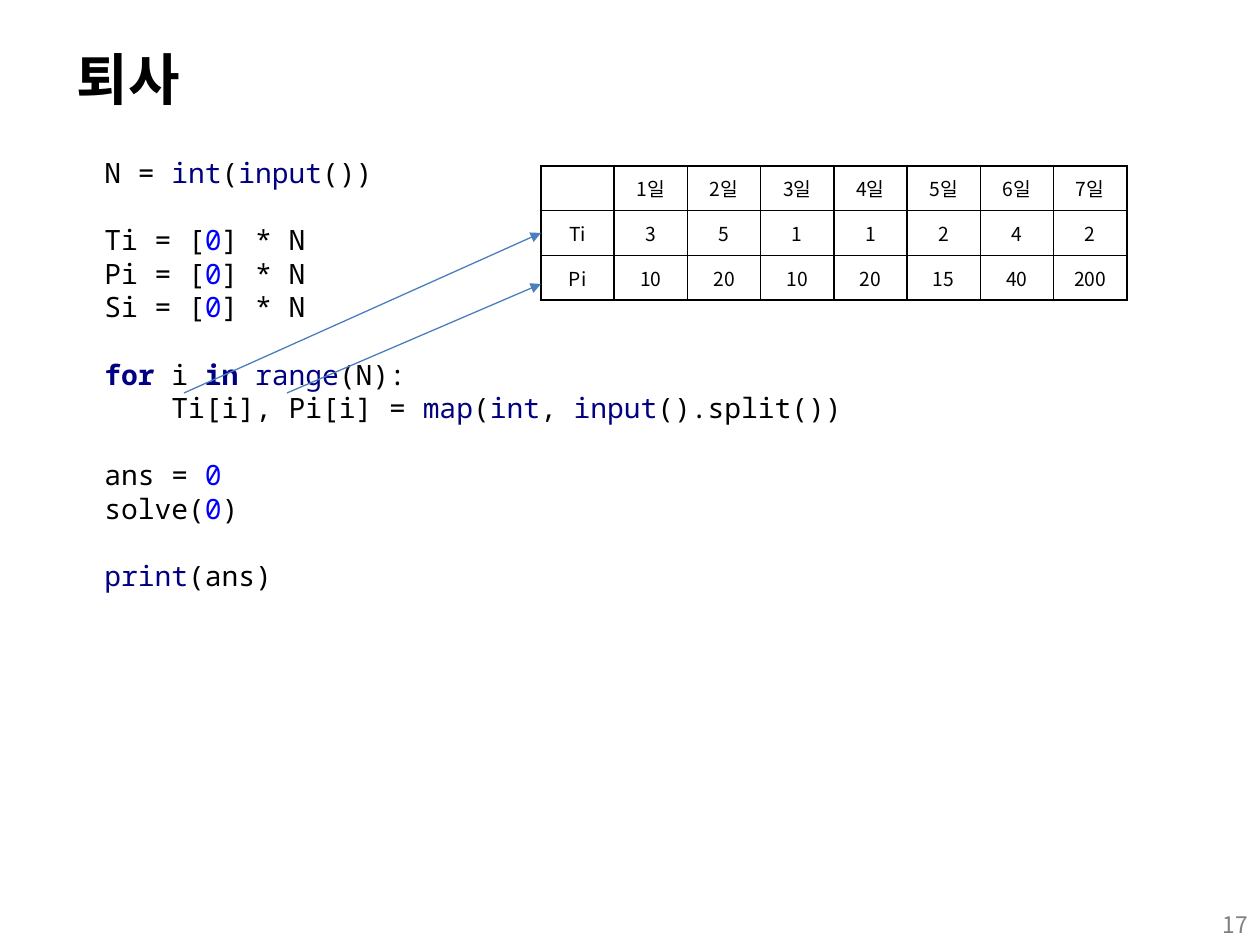
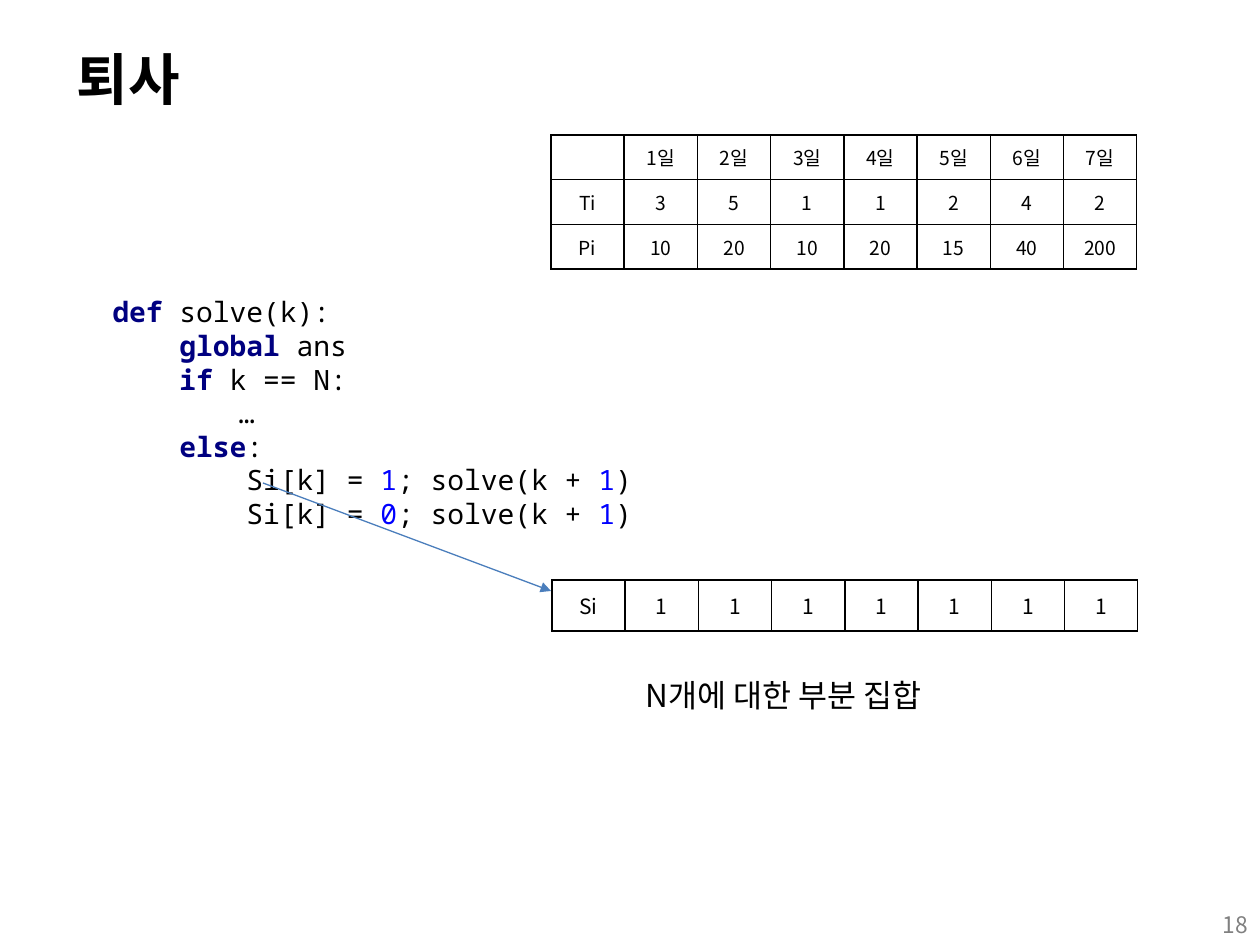
from pptx import Presentation
from pptx.dml.color import RGBColor
from pptx.enum.shapes import MSO_CONNECTOR, MSO_SHAPE
from pptx.enum.text import MSO_ANCHOR, PP_ALIGN
from pptx.oxml.ns import qn
from pptx.util import Pt
from lxml import etree

PIXEL = 914400 // 126
LEFT, CENTER, RIGHT = PP_ALIGN.LEFT, PP_ALIGN.CENTER, PP_ALIGN.RIGHT
TOP, MIDDLE = MSO_ANCHOR.TOP, MSO_ANCHOR.MIDDLE
STRAIGHT, RECTANGLE = MSO_CONNECTOR.STRAIGHT, MSO_SHAPE.RECTANGLE
TITLE_ONLY = 5

BLACK = RGBColor(0x00, 0x00, 0x00)
WHITE = RGBColor(0xFF, 0xFF, 0xFF)
GRAY = RGBColor(0x80, 0x80, 0x80)
NAVY = RGBColor(0x00, 0x00, 0x80)
BLUE = RGBColor(0x00, 0x00, 0xFF)
ARROW_BLUE = RGBColor(0x4B, 0x7E, 0xBC)

TEXT_FONT = "Noto Sans CJK KR"
CODE_FONT = "Noto Sans Mono"
CODE_LINE = Pt(19.2)
KEYWORDS = {"for", "in", "def", "global", "if", "else"}
BUILTINS = {"int", "input", "range", "map", "print"}

SCHEDULE = [
    [""] + [f"{day}일" for day in range(1, 8)],
    ["Ti", "3", "5", "1", "1", "2", "4", "2"],
    ["Pi", "10", "20", "10", "20", "15", "40", "200"],
]
SUBSET = [["Si"] + ["1"] * 7]

MAIN_CODE = [
    [(0, "N = |int|(|input|())")],
    [(0, f"{name} = [|0|] * N") for name in ("Ti", "Pi", "Si")],
    [(0, "for |i |in |range|(N):"),
     (67, "Ti[i], Pi[i] = |map|(|int|, |input|().split())")],
    [(0, "ans = |0"), (0, "solve(|0|)")],
    [(0, "print|(ans)")],
]
SOLVE_CODE = [
    [(0, "def |solve(k):"), (67, "global |ans"), (67, "if |k == N:"),
     (126, "…"), (67, "else|:")]
    + [(134, f"Si[k] = |{choice}|; solve(k + |1|)") for choice in (1, 0)],
]


def px(*lengths):
    """Turn pixels into EMU."""
    return [length * PIXEL for length in lengths]


def style_span(span, size, color=BLACK, bold=False, face=TEXT_FONT):
    """Format one run, for Latin and Korean letters alike."""
    font = span.font
    font.size, font.bold, font.name = Pt(size), bold, face
    font.color.rgb = color
    east_asian = etree.SubElement(span._r.get_or_add_rPr(), qn("a:ea"))
    east_asian.set("typeface", face)


def write(frame, text, size, color=BLACK, bold=False, align=LEFT):
    """Put one formatted line of text in a frame."""
    frame.text = text
    frame.word_wrap = True
    para = frame.paragraphs[0]
    para.alignment = align
    for span in para.runs:
        style_span(span, size, color, bold)


def add_label(page, area, text, size, color=BLACK, align=LEFT):
    """Add a text box."""
    box = page.shapes.add_textbox(*px(*area))
    write(box.text_frame, text, size, color, align=align)


def add_page(deck, title, number):
    """Add a slide with its title and page number."""
    page = deck.slides.add_slide(deck.slide_layouts[TITLE_ONLY])
    heading = page.shapes.title
    heading.left, heading.top, heading.width, heading.height = px(64, 38, 1203, 110)
    write(heading.text_frame, title, 32, bold=True)
    heading.text_frame.vertical_anchor = TOP
    add_label(page, (966, 905, 294, 50), str(number), 13, GRAY, RIGHT)
    return page


def code_color(token):
    """Give the highlight colour of a piece of code."""
    if token in KEYWORDS | BUILTINS:
        return NAVY
    return BLUE if token.isdigit() else BLACK


def write_code_line(para, indent, line):
    """Fill a paragraph with code whose pieces are parted by bars."""
    para.alignment = LEFT
    para.line_spacing = CODE_LINE
    properties = para._p.get_or_add_pPr()
    properties.set("marL", str(indent * PIXEL))
    properties.set("indent", "0")
    for piece in line.split("|"):
        span = para.add_run()
        span.text = piece
        token = piece.strip()
        style_span(span, 16, code_color(token), token in KEYWORDS, CODE_FONT)


def add_code(page, area, blocks):
    """Add a white box of highlighted code, with a gap between blocks."""
    box = page.shapes.add_shape(RECTANGLE, *px(*area))
    box.shadow.inherit = False
    box.fill.solid()
    box.fill.fore_color.rgb = WHITE
    box.line.fill.background()
    frame = box.text_frame
    frame.word_wrap = True
    frame.vertical_anchor = MIDDLE
    para = frame.paragraphs[0]
    for block_index, block in enumerate(blocks):
        for line_index, (indent, line) in enumerate(block):
            if block_index or line_index:
                para = frame.add_paragraph()
            if block_index and not line_index:
                para.space_before = CODE_LINE
            write_code_line(para, indent, line)


def add_borders(cell):
    """Draw a thin black line on each side of a cell."""
    properties = cell._tc.get_or_add_tcPr()
    for index, side in enumerate(("lnL", "lnR", "lnT", "lnB")):
        line = etree.Element(qn(f"a:{side}"), w=str(Pt(1)))
        fill = etree.SubElement(line, qn("a:solidFill"))
        etree.SubElement(fill, qn("a:srgbClr"), val=str(BLACK))
        properties.insert(index, line)


def add_grid(page, area, rows, size, margins):
    """Add a bordered table of centred values."""
    table = page.shapes.add_table(len(rows), len(rows[0]), *px(*area)).table
    table.first_row = table.horz_banding = False
    for row_index, row in enumerate(rows):
        for column_index, value in enumerate(row):
            cell = table.cell(row_index, column_index)
            cell.fill.background()
            cell.vertical_anchor = MIDDLE
            cell.margin_left = cell.margin_right = margins[0] * PIXEL
            cell.margin_top = cell.margin_bottom = margins[1] * PIXEL
            write(cell.text_frame, value, size, align=CENTER)
            add_borders(cell)


def add_schedule(page, left, top):
    """Add the table of days, times and pay."""
    add_grid(page, (left, top, 586, 134), SCHEDULE, 11, (1, 1))


def add_arrow(page, *ends):
    """Add a thin blue arrow."""
    arrow = page.shapes.add_connector(STRAIGHT, *px(*ends))
    arrow.line.color.rgb = ARROW_BLUE
    arrow.line.width = Pt(0.75)
    etree.SubElement(arrow.line._get_or_add_ln(), qn("a:tailEnd"), type="triangle")
    etree.SubElement(arrow._element.spPr, qn("a:effectLst"))


def build_input_page(deck):
    """Build the page on reading the input."""
    page = add_page(deck, "퇴사", 17)
    add_code(page, (92, 147, 902, 454), MAIN_CODE)
    add_schedule(page, 541, 166)
    add_arrow(page, 184, 393, 541, 233)
    add_arrow(page, 287, 393, 541, 284)


def build_solve_page(deck):
    """Build the page on the recursive function."""
    page = add_page(deck, "퇴사", 18)
    add_code(page, (100, 287, 1076, 251), SOLVE_CODE)
    add_schedule(page, 551, 135)
    add_grid(page, (552, 580, 586, 51), SUBSET, 12, (13, 6))
    add_label(page, (633, 670, 365, 50), "N개에 대한 부분 집합", 18)
    add_arrow(page, 263, 483, 551, 591)


def main():
    """Build and save the deck."""
    deck = Presentation()
    deck.slide_width, deck.slide_height = px(1260, 945)
    build_input_page(deck)
    build_solve_page(deck)
    deck.save("out.pptx")


main()
